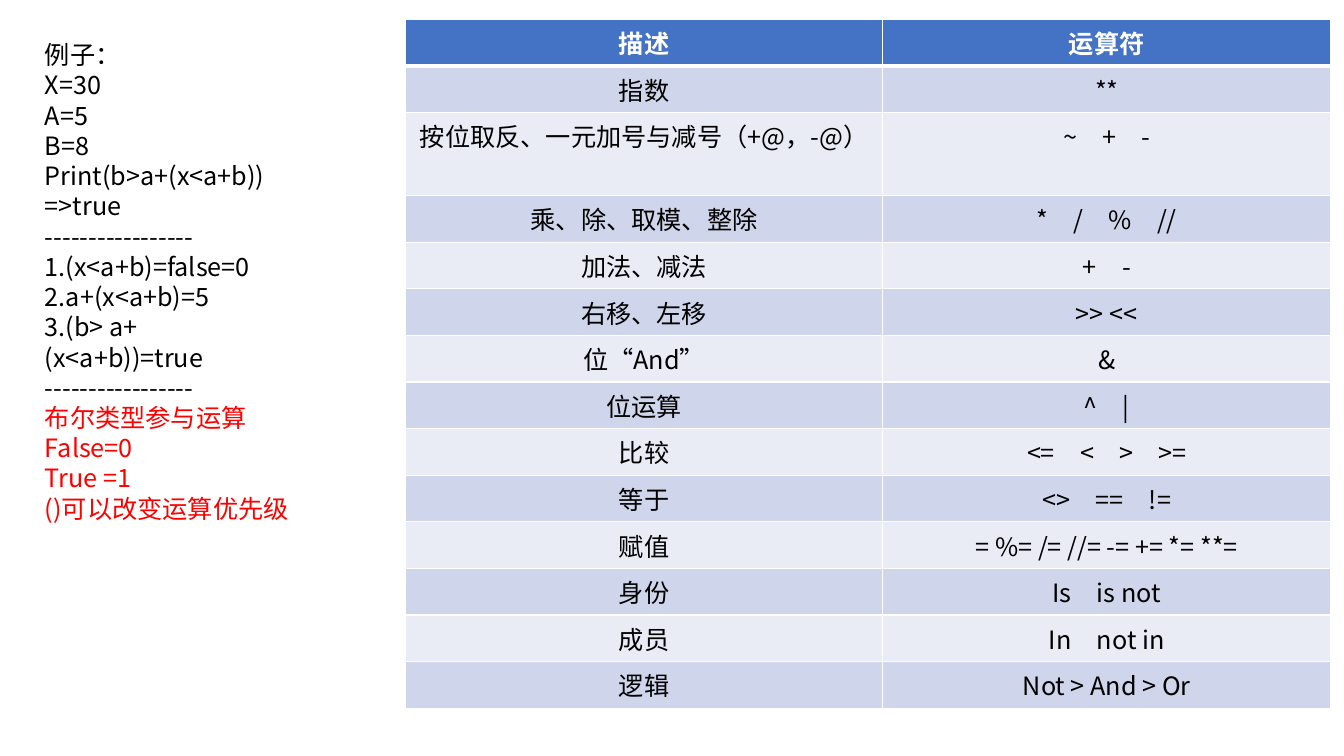
import lxml.etree
import pptx
import pptx.dml.color
import pptx.enum.text
import pptx.oxml.ns
import pptx.util

Pt = pptx.util.Pt
qn = pptx.oxml.ns.qn
FACE = "Noto Sans CJK SC"
BASE = {"name": FACE, "size": Pt(18), "bold": False}
WHITE, BLACK, RED = "FFFFFF", "000000", "FF0000"
HEAD, BANDS = "4472C4", ("CFD5EA", "E9EBF5")

# Operators from highest to lowest precedence
ROWS = [
    ("描述", "运算符"),
    ("指数", "**"),
    ("按位取反、一元加号与减号（+@，-@）", "~　+　-"),
    ("乘、除、取模、整除", "*　/　%　//"),
    ("加法、减法", "+　-"),
    ("右移、左移", ">> <<"),
    ("位“And”", "&"),
    ("位运算", "^　|"),
    ("比较", "<=　<　>　>="),
    ("等于", "<>　==　!="),
    ("赋值", "= %= /= //= -= += *= **="),
    ("身份", "Is　is not"),
    ("成员", "In　not in"),
    ("逻辑", "Not > And > Or"),
]

RULE = "-" * 17
STEPS = [
    "例子：", "X=30", "A=5", "B=8", "Print(b>a+(x<a+b))", "=>true", RULE,
    "1.(x<a+b)=false=0", "2.a+(x<a+b)=5", "3.(b> a+(x<a+b))=true", RULE,
]
NOTES = ["布尔类型参与运算", "False=0", "True =1", "()可以改变运算优先级"]


def color(code):
    return pptx.dml.color.RGBColor.from_string(code)


def write(para, text, code, **extra):
    """Put one styled run into a paragraph."""
    run = para.add_run()
    run.text = text
    for key, value in {**BASE, **extra}.items():
        setattr(run.font, key, value)
    run.font.color.rgb = color(code)
    east = lxml.etree.SubElement(run._r.get_or_add_rPr(), qn("a:ea"))
    east.set("typeface", FACE)


def edge(cell, widths):
    """Draw white borders, given in the order left, right, top, bottom."""
    props = cell._tc.get_or_add_tcPr()
    for spot, (side, width) in enumerate(zip("LRTB", widths)):
        line = lxml.etree.Element(qn("a:ln" + side), w=str(Pt(width)))
        fill = lxml.etree.SubElement(line, qn("a:solidFill"))
        lxml.etree.SubElement(fill, qn("a:srgbClr"), val=WHITE)
        props.insert(spot, line)


def add_grid(slide, rows, left, top, widths, height):
    frame = slide.shapes.add_table(
        len(rows), len(widths), Pt(left), Pt(top),
        Pt(sum(widths)), Pt(height * len(rows)))
    table = frame.table
    for col, width in zip(table.columns, widths):
        col.width = Pt(width)
    for i, row in enumerate(rows):
        table.rows[i].height = Pt(height)
        head = i == 0
        for j, text in enumerate(row):
            cell = table.cell(i, j)
            cell.fill.solid()
            cell.fill.fore_color.rgb = color(HEAD if head else BANDS[(i - 1) % 2])
            edge(cell, (1, 1, 3 if i == 1 else 1, 3 if head else 1))
            para = cell.text_frame.paragraphs[0]
            para.alignment = pptx.enum.text.PP_ALIGN.CENTER
            write(para, text, WHITE if head else BLACK, bold=head)


def add_list(slide, lines, left, top, width, height):
    box = slide.shapes.add_textbox(Pt(left), Pt(top), Pt(width), Pt(height))
    frame = box.text_frame
    form = {"word_wrap": False,
            "auto_size": pptx.enum.text.MSO_AUTO_SIZE.SHAPE_TO_FIT_TEXT}
    for key, value in form.items():
        setattr(frame, key, value)
    for i, (text, code) in enumerate(lines):
        para = frame.add_paragraph() if i else frame.paragraphs[0]
        write(para, text, code)


def main():
    deck = pptx.Presentation()
    deck.slide_width, deck.slide_height = Pt(960), Pt(540)
    slide = deck.slides.add_slide(deck.slide_layouts[6])

    # Precedence table
    add_grid(slide, ROWS, 289.6, 13.9, (341, 320), 29.2)

    # Worked example, with the rules in red
    lines = [(text, BLACK) for text in STEPS] + [(text, RED) for text in NOTES]
    add_list(slide, lines, 25, 24.6, 193, 334)

    deck.save("out.pptx")


if __name__ == "__main__":
    main()
